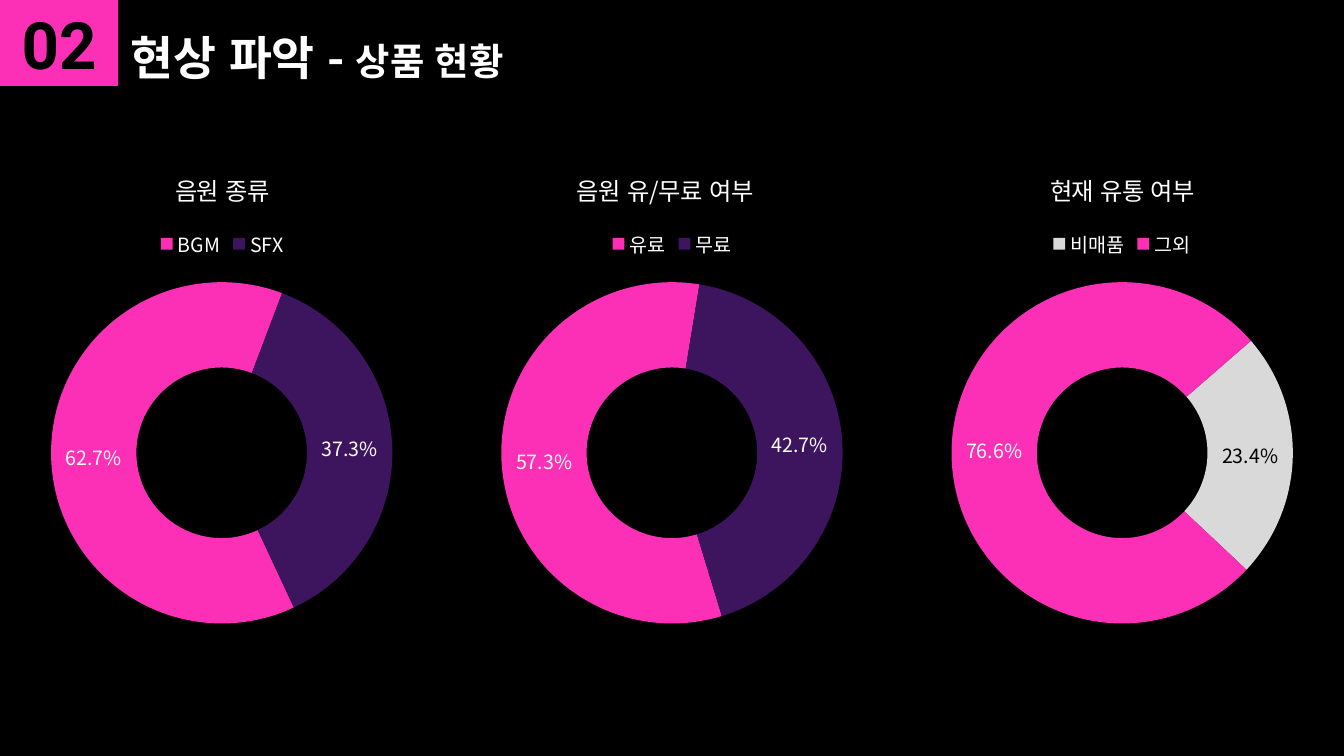
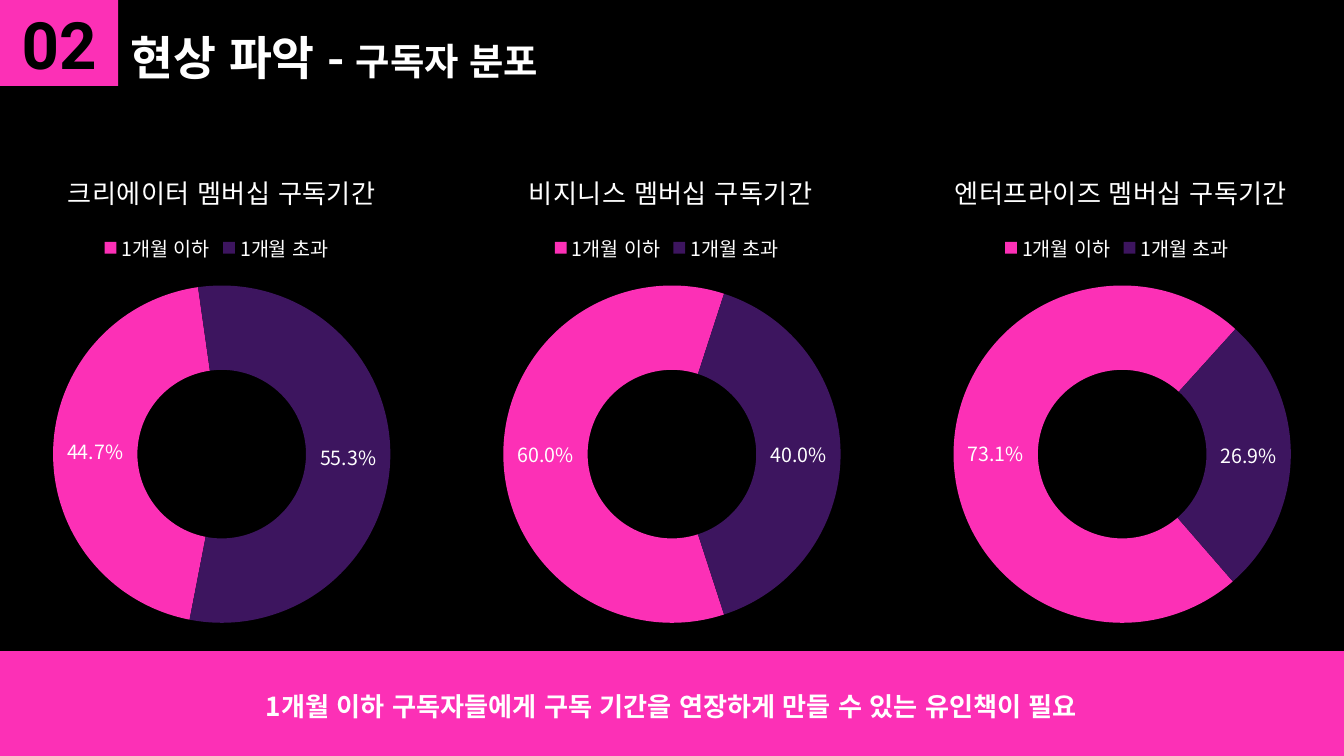
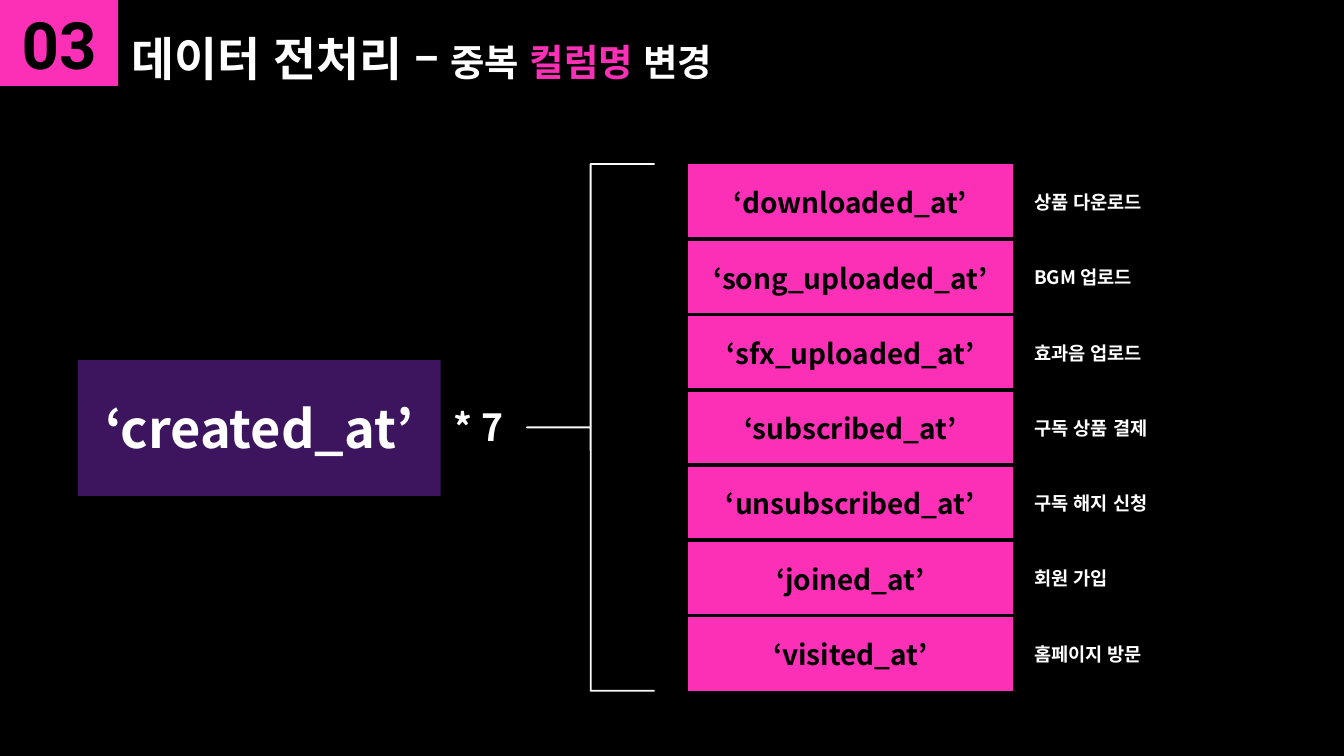
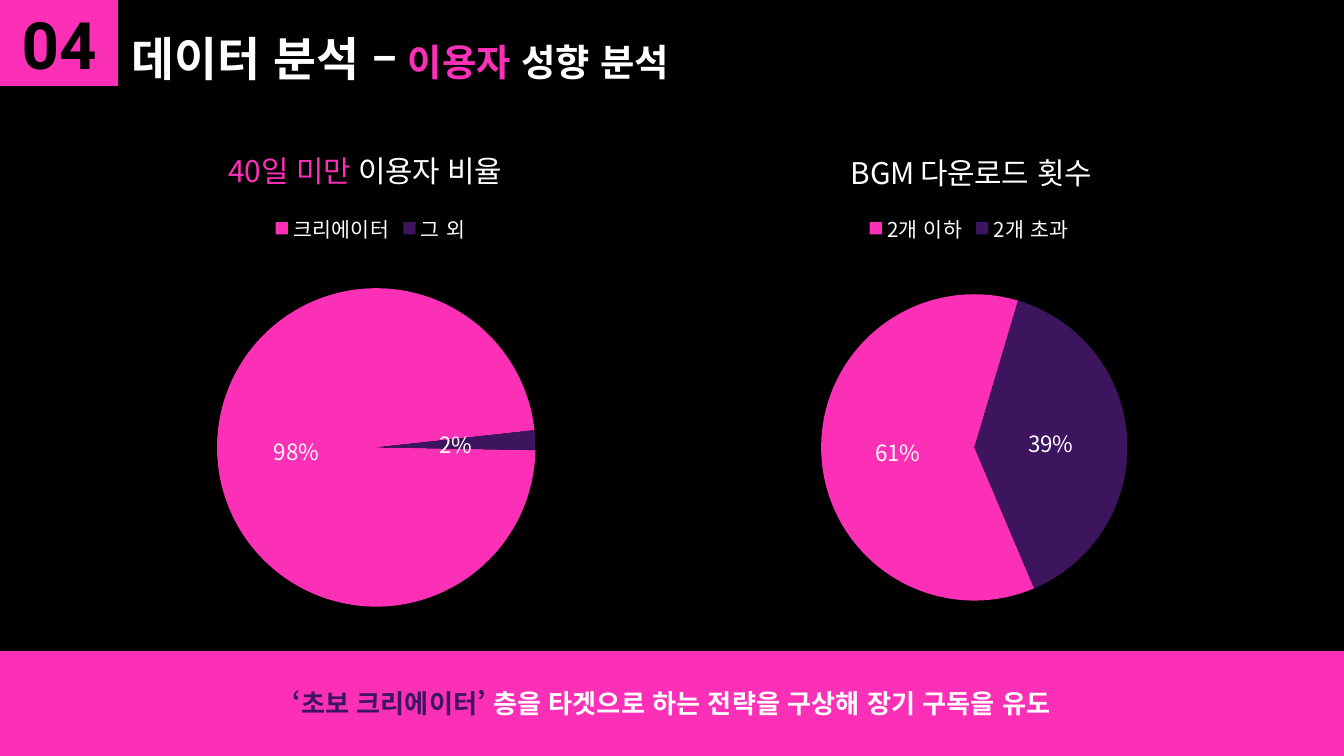
from dataclasses import dataclass

from lxml.etree import SubElement
from pptx import Presentation
from pptx.chart.data import CategoryChartData
from pptx.dml.color import RGBColor
from pptx.enum.chart import XL_CHART_TYPE as ChartType
from pptx.enum.chart import XL_LABEL_POSITION as LabelPosition
from pptx.enum.chart import XL_LEGEND_POSITION as LegendPosition
from pptx.enum.lang import MSO_LANGUAGE_ID as Language
from pptx.enum.shapes import MSO_SHAPE as Preset
from pptx.enum.text import MSO_ANCHOR as Anchor
from pptx.enum.text import MSO_AUTO_SIZE as AutoSize
from pptx.enum.text import PP_ALIGN as Align
from pptx.oxml.ns import qn
from pptx.util import Inches, Pt

PLAIN_TABLE_STYLE = "{2D5ABB26-0587-4C30-8999-92F81FD0307C}"


@dataclass(frozen=True)
class Theme:
    black: str = "000000"
    white: str = "FFFFFF"
    pink: str = "FC30B6"
    purple: str = "3D155F"
    gray: str = "D9D9D9"
    bracket: str = "F9F9F9"
    font: str = "Noto Sans CJK KR"
    chart_font: str = "Arial"
    number_font: str = "Roboto"
    title: float = 25
    subtitle: float = 20
    number: float = 35
    message: float = 14
    key: float = 28
    cell: float = 15
    note: float = 10
    product_chart: float = 13
    member_chart: float = 14
    pie_chart: float = 16
    chart_text: float = 10
    ring_label: float = 10.5
    pie_label: float = 12
    ring_legend: float = 10.5
    pie_legend: float = 11


THEME = Theme()
WIDTH = 10
HEIGHT = WIDTH * 9 / 16
BADGE_WIDTH, BADGE_HEIGHT = 0.88, 0.64
BAND_HEIGHT = 0.78
CHART_TITLE_TOP = 0.13
INSETS = dict(margin_left=0.1, margin_top=0.1, margin_right=0.1, margin_bottom=0.1)
CENTERED_TITLE = dict(box=(0.87, 0.12, 4.98, 0.6), anchor=Anchor.MIDDLE, bottom=0.1)
BOTTOM_TITLE = dict(box=(BADGE_WIDTH, 0, 4.98, BADGE_HEIGHT), anchor=Anchor.BOTTOM, bottom=0)


def assign(target, **values):
    for name, value in values.items():
        setattr(target, name, value)


def inches(*lengths):
    return [Inches(length) for length in lengths]


def style_font(font, size, color=THEME.white, bold=False, name=THEME.font):
    assign(font, size=Pt(size), bold=bold, name=name, language_id=Language.KOREAN)
    font.color.rgb = RGBColor.from_string(color)


def write(paragraph, runs, bold=True, name=THEME.font):
    """Add runs given as (text, size, color)."""
    for text, size, color in runs:
        run = paragraph.add_run()
        run.text = text
        style_font(run.font, size, color, bold, name)


def paint(fill, color):
    fill.solid()
    fill.fore_color.rgb = RGBColor.from_string(color)


def set_layout(parent, index, **fractions):
    """Give a chart part a manual layout, as the child at index."""
    for old in parent.findall(qn("c:layout")):
        parent.remove(old)
    layout = SubElement(parent, qn("c:layout"))
    parent.insert(index, layout)
    manual = SubElement(layout, qn("c:manualLayout"))
    settings = {"xMode": "edge", "yMode": "edge", **fractions}
    if "w" in fractions:
        settings = {"layoutTarget": "inner", **settings}
    for tag, value in settings.items():
        SubElement(manual, qn(f"c:{tag}")).set("val", str(value))


def add_east_asian_fonts(root):
    for latin in list(root.iter(qn("a:latin"))):
        east_asian = SubElement(latin.getparent(), qn("a:ea"))
        east_asian.set("typeface", latin.get("typeface"))
        latin.addnext(east_asian)


class Deck:
    def __init__(self, theme):
        self.theme = theme
        self.presentation = Presentation()
        assign(self.presentation, slide_width=Inches(WIDTH), slide_height=Inches(HEIGHT))
        paint(self.presentation.slide_master.background.fill, theme.black)
        self.slide = None

    def start(self, number, runs, box, anchor, bottom):
        """Open a slide with its title and section number."""
        self.slide = self.presentation.slides.add_slide(self.presentation.slide_layouts[5])
        title = self.slide.shapes.title
        assign(title, **dict(zip(("left", "top", "width", "height"), inches(*box))))
        frame = title.text_frame
        self.frame(frame, anchor, **{**INSETS, "margin_bottom": bottom})
        frame.paragraphs[0].alignment = Align.LEFT
        write(frame.paragraphs[0], runs)
        self.block((0, 0, BADGE_WIDTH, BADGE_HEIGHT), self.theme.pink,
                   [(number, self.theme.number, self.theme.black)],
                   name=self.theme.number_font)

    def frame(self, frame, anchor, **margins):
        assign(frame, auto_size=AutoSize.NONE, word_wrap=True, vertical_anchor=anchor)
        assign(frame, **{side: Inches(length) for side, length in margins.items()})

    def block(self, box, color, runs, name=THEME.font, spacing=1.0):
        shape = self.slide.shapes.add_shape(Preset.RECTANGLE, *inches(*box))
        shape.shadow.inherit = False
        paint(shape.fill, color)
        shape.line.fill.background()
        self.frame(shape.text_frame, Anchor.MIDDLE, **INSETS)
        paragraph = shape.text_frame.paragraphs[0]
        assign(paragraph, alignment=Align.CENTER, line_spacing=spacing)
        write(paragraph, runs, name=name)

    def band(self, runs, spacing=1.0):
        self.block((0, HEIGHT - BAND_HEIGHT, WIDTH, BAND_HEIGHT), self.theme.pink, runs,
                   spacing=spacing)

    def text(self, box, runs):
        frame = self.slide.shapes.add_textbox(*inches(*box)).text_frame
        frame.word_wrap = True
        write(frame.paragraphs[0], runs)

    def bracket(self, box):
        brace = self.slide.shapes.add_shape(Preset.LEFT_BRACE, *inches(*box))
        brace.shadow.inherit = False
        brace.fill.background()
        brace.line.color.rgb = RGBColor.from_string(self.theme.bracket)
        brace.line.width = Pt(1)
        brace.adjustments[0], brace.adjustments[1] = 0, 0.5

    def ring(self, box, kind, title, title_left, legend_left, legend_top, circle, shares,
             start, colors=(THEME.pink, THEME.purple), label_size=THEME.ring_label,
             label_format="0.0%", legend_size=THEME.ring_legend, dark_label=None):
        """Add a round chart; circle is (center x, center y, diameter) within the box."""
        data = CategoryChartData(number_format=label_format)
        data.categories = list(shares)
        data.add_series("Series 1", list(shares.values()))
        chart = self.slide.shapes.add_chart(kind, *inches(*box), data).chart
        style_font(chart.font, self.theme.chart_text, name=self.theme.chart_font)
        write(chart.chart_title.text_frame.paragraphs[0], title, bold=False)
        chart.has_legend = True
        assign(chart.legend, position=LegendPosition.TOP, include_in_layout=False)
        style_font(chart.legend.font, legend_size)

        chart.plots[0].vary_by_categories = True
        series = chart.plots[0].series[0]
        labels = series.data_labels
        assign(labels, show_value=True, show_percentage=False, number_format=label_format,
               number_format_is_linked=False)
        if kind == ChartType.PIE:
            labels.position = LabelPosition.CENTER
        style_font(labels.font, label_size)
        for index, color in enumerate(colors):
            point = series.points[index]
            paint(point.format.fill, color)
            point.format.line.fill.background()
        if dark_label is not None:
            style_font(series.points[dark_label].data_label.font, label_size,
                       self.theme.black)

        root = chart.element
        plot_tag = "c:pieChart" if kind == ChartType.PIE else "c:doughnutChart"
        plot = root.find(f".//{qn(plot_tag)}")
        angle = plot.find(qn("c:firstSliceAng"))
        if angle is None:
            angle = SubElement(plot, qn("c:firstSliceAng"))
        angle.set("val", str(start))

        width, height = box[2:]
        center_x, center_y, diameter = circle
        set_layout(root.find(f".//{qn('c:title')}"), 1,
                   x=title_left / width, y=CHART_TITLE_TOP / height)
        set_layout(root.find(f".//{qn('c:legend')}"), 1,
                   x=legend_left / width, y=legend_top / height)
        set_layout(root.find(f".//{qn('c:plotArea')}"), 0,
                   x=(center_x - diameter / 2) / width, y=(center_y - diameter / 2) / height,
                   w=diameter / width, h=diameter / height)
        add_east_asian_fonts(root)

    def ring_row(self, title_size, legend_top, circle, rings):
        """Place three doughnuts side by side."""
        for column, (title, title_left, legend_left, shares, start, extra) in enumerate(rings):
            self.ring((-0.02 + 3.35 * column, 1.1, 3.35, 3.67), ChartType.DOUGHNUT,
                      [(title, title_size, self.theme.white)], title_left, legend_left,
                      legend_top, circle, shares, start, **extra)

    def column_table(self, box, rows):
        height = box[3]
        table = self.slide.shapes.add_table(len(rows), 2, *inches(*box)).table
        assign(table, first_row=False, horz_banding=False)
        table._tbl.find(f".//{qn('a:tableStyleId')}").text = PLAIN_TABLE_STYLE
        for index, (column_name, meaning) in enumerate(rows):
            table.rows[index].height = Inches(height / len(rows))
            name_cell, note_cell = table.cell(index, 0), table.cell(index, 1)
            if index > 0:
                self.cell_border(name_cell, "a:lnT")
            if index < len(rows) - 1:
                self.cell_border(name_cell, "a:lnB")
            paint(name_cell.fill, self.theme.pink)
            note_cell.fill.background()
            note_cell.margin_left = Inches(0.16)
            name_cell.text_frame.paragraphs[0].alignment = Align.CENTER
            for cell, run in ((name_cell, (column_name, self.theme.cell, self.theme.black)),
                              (note_cell, (meaning, self.theme.note, self.theme.white))):
                cell.vertical_anchor = Anchor.MIDDLE
                write(cell.text_frame.paragraphs[0], [run])

    def cell_border(self, cell, tag):
        line = SubElement(cell._tc.get_or_add_tcPr(), qn(tag), w=str(Pt(2.25)))
        fill = SubElement(line, qn("a:solidFill"))
        SubElement(fill, qn("a:srgbClr"), val=self.theme.black)

    def finish(self):
        for slide in self.presentation.slides:
            add_east_asian_fonts(slide.element)
        return self.presentation


def products(deck, t):
    deck.start("02", [("현상 파악 - ", t.title, t.white), ("상품 현황", t.subtitle, t.white)],
               **CENTERED_TITLE)
    deck.ring_row(t.product_chart, 0.57, (1.67, 2.27, 2.54), [
        ("음원 종류", 1.29, 1.17, {"BGM": 0.627, "SFX": 0.373}, 155, {}),
        ("음원 유/무료 여부", 0.93, 1.18, {"유료": 0.573, "무료": 0.427}, 163, {}),
        ("현재 유통 여부", 1.1, 1.11, {"비매품": 0.234, "그외": 0.766}, 49,
         dict(colors=(t.gray, t.pink), dark_label=0)),
    ])


def subscribers(deck, t):
    deck.start("02", [("현상 파악 - ", t.title, t.white), ("구독자 분포", t.subtitle, t.white)],
               **CENTERED_TITLE)
    deck.band([("1개월 이하 구독자들에게 구독 기간을 연장하게 만들 수 있는 유인책이 필요",
                t.message, t.white)], spacing=1.15)
    memberships = [("크리에이터", 0.49, 0.447, 191), ("비지니스", 0.57, 0.6, 162),
                   ("엔터프라이즈", 0.39, 0.731, 139)]
    deck.ring_row(t.member_chart, 0.6, (1.67, 2.28, 2.51), [
        (f"{name} 멤버십 구독기간", title_left, 0.75,
         {"1개월 이하": share, "1개월 초과": round(1 - share, 3)}, start, {})
        for name, title_left, share, start in memberships
    ])


def renamed_columns(deck, t):
    deck.start("03", [("데이터 전처리 –", t.title, t.white), (" 중복 ", t.subtitle, t.white),
                      ("컬럼명", t.subtitle, t.pink), (" 변경", t.subtitle, t.white)],
               **BOTTOM_TITLE)
    deck.column_table((5.12, 1.22, 4.83, 3.92), [
        ("‘downloaded_at’", "상품 다운로드"),
        ("‘song_uploaded_at’", "BGM 업로드"),
        ("‘sfx_uploaded_at’", "효과음 업로드"),
        ("‘subscribed_at’", "구독 상품 결제"),
        ("‘unsubscribed_at’", "구독 해지 신청"),
        ("‘joined_at’", "회원 가입"),
        ("‘visited_at’", "홈페이지 방문"),
    ])
    deck.block((0.58, 2.68, 2.7, 1.01), t.purple, [("‘created_at’", t.key, t.white)])
    deck.text((3.28, 2.96, 0.64, 0.44), [("* 7", t.subtitle, t.white)])
    deck.bracket((3.92, 1.22, 0.95, 3.92))


def user_habits(deck, t):
    deck.start("04", [("데이터 분석 –", t.title, t.white), (" ", t.subtitle, t.white),
                      ("이용자 ", t.subtitle, t.pink), ("성향 분석", t.subtitle, t.white)],
               **BOTTOM_TITLE)
    deck.band([("‘초보 크리에이터’ ", t.message, t.purple),
               ("층을 타겟으로 하는 전략을 구상해 장기 구독을 유도", t.message, t.white)])
    pies = [
        (1.08, [("40일 미만", t.pie_chart, t.pink), (" 이용자 비율", t.pie_chart, t.white)],
         0.59, 0.92, (1.72, 2.4, 2.37), {"크리에이터": 0.98, "그 외": 0.02}, 91),
        (5.58, [("BGM 다운로드 횟수", t.pie_chart, t.white)],
         0.71, 0.84, (1.67, 2.4, 2.28), {"2개 이하": 0.61, "2개 초과": 0.39}, 157),
    ]
    for left, title, title_left, legend_left, circle, shares, start in pies:
        deck.ring((left, 0.93, 3.35, 3.89), ChartType.PIE, title, title_left, legend_left,
                  0.62, circle, shares, start, label_size=t.pie_label, label_format="0%",
                  legend_size=t.pie_legend)


def main():
    deck = Deck(THEME)
    for build in (products, subscribers, renamed_columns, user_habits):
        build(deck, THEME)
    deck.finish().save("out.pptx")


if __name__ == "__main__":
    main()
